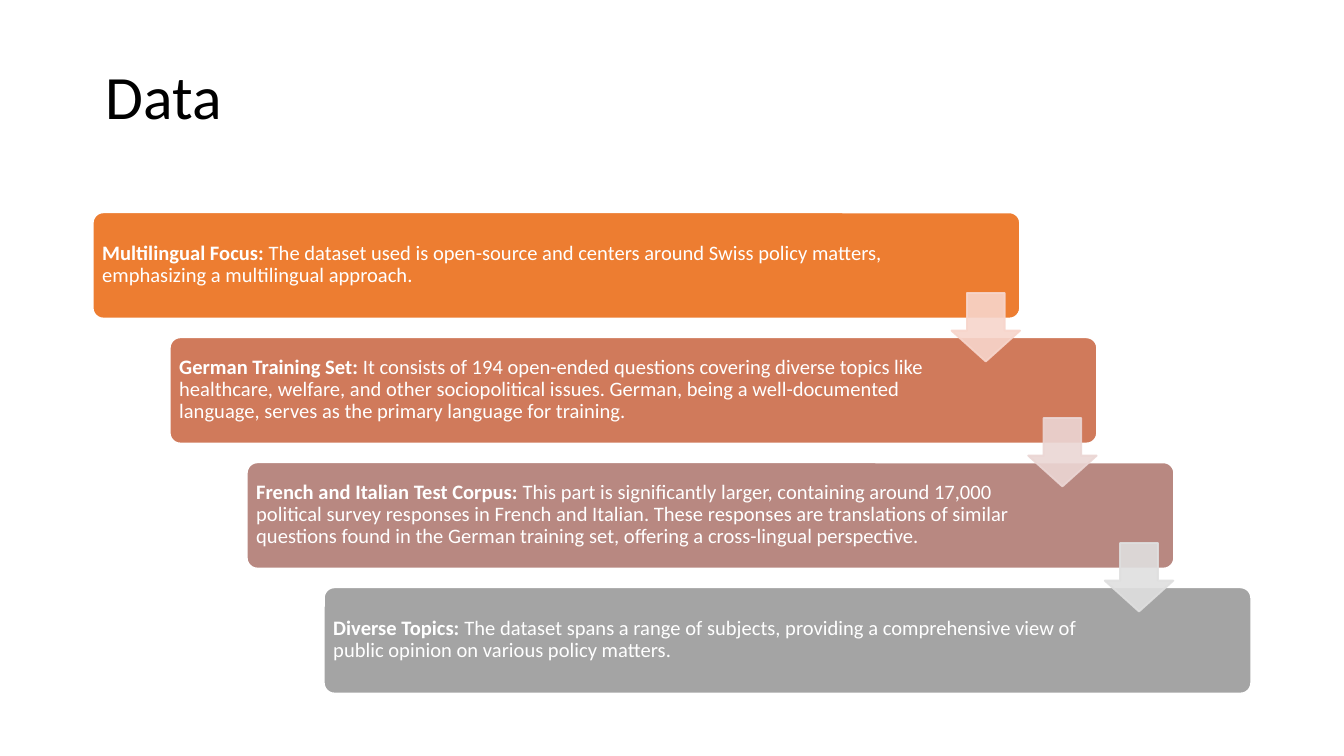
from pptx import Presentation
from pptx.util import Inches, Pt
from pptx.dml.color import RGBColor
from pptx.enum.shapes import MSO_SHAPE
from pptx.enum.text import MSO_ANCHOR
from pptx.oxml.ns import qn
from lxml import etree

COLORS = {
    "title": "000000",
    "white": "FFFFFF",
    "steps": ["ED7D31", "D07A5B", "B88881", "A4A4A4"],
    "arrows": ["F7D5CB", "EBD6D4", "DFDFDF"],
}

# Heading, body and text width of each step
STEPS = [
    ("Multilingual Focus: ",
     "The dataset used is open-source and centers around Swiss policy matters, "
     "emphasizing a multilingual approach.", 5.99),
    ("German Training Set: ",
     "It consists of 194 open-ended questions covering diverse topics like "
     "healthcare, welfare, and other sociopolitical issues. German, being a "
     "well-documented language, serves as the primary language for training.", 5.76),
    ("French and Italian Test Corpus: ",
     "This part is significantly larger, containing around 17,000 political survey "
     "responses in French and Italian. These responses are translations of similar "
     "questions found in the German training set, offering a cross-lingual "
     "perspective.", 5.77),
    ("Diverse Topics: ",
     "The dataset spans a range of subjects, providing a comprehensive view of "
     "public opinion on various policy matters.", 5.76),
]
LEFT, TOP = 0.69, 1.58
STEP_X, STEP_Y = 1.72 / 3, 0.93

# 16:9 slide
prs = Presentation()
prs.slide_width = Inches(10)
prs.slide_height = Inches(10 * 9 / 16)
s = prs.slides.add_slide(prs.slide_layouts[6])


def add_text(x, y, w, h, runs, size, color, anchor, inset):
    tf = s.shapes.add_textbox(Inches(x), Inches(y), Inches(w), Inches(h)).text_frame
    tf.word_wrap = True
    tf.vertical_anchor = anchor
    tf.margin_left = tf.margin_right = Inches(inset)
    tf.margin_top = tf.margin_bottom = Inches(0.05)
    p = tf.paragraphs[0]
    p.line_spacing = 0.9
    for text, bold in runs:
        r = p.add_run()
        r.text = text
        r.font.name = "Calibri"
        r.font.size = Pt(size)
        r.font.bold = bold
        r.font.color.rgb = RGBColor.from_string(color)


def add_block(kind, x, y, w, h, adjustments, fill, line):
    sp = s.shapes.add_shape(kind, Inches(x), Inches(y), Inches(w), Inches(h))
    sp.shadow.inherit = False
    for i, value in enumerate(adjustments):
        sp.adjustments[i] = value
    sp.fill.solid()
    sp.fill.fore_color.rgb = RGBColor.from_string(fill)
    sp.line.color.rgb = RGBColor.from_string(line)
    sp.line.width = Pt(1)
    return sp


# Title
add_text(LEFT, 0.21, 8.62, 0.83, [("Data", False)], 33, COLORS["title"],
         MSO_ANCHOR.BOTTOM, 0.1)

# Staircase of steps
for i, (heading, body, width) in enumerate(STEPS):
    x, y = LEFT + i * STEP_X, TOP + i * STEP_Y
    add_block(MSO_SHAPE.ROUNDED_RECTANGLE, x, y, 6.9, 0.79, [0.1],
              COLORS["steps"][i], COLORS["white"])
    add_text(x + 0.02, y + 0.02, width, 0.74, [(heading, True), (body, False)], 11,
             COLORS["white"], MSO_ANCHOR.MIDDLE, 0.05)

# Translucent arrows between the steps
for i, color in enumerate(COLORS["arrows"]):
    sp = add_block(MSO_SHAPE.DOWN_ARROW, 7.08 + i * 0.57, 2.18 + i * STEP_Y, 0.51, 0.51,
                   [0.55, 0.45], color, color)
    for clr in sp.element.spPr.iter(qn("a:srgbClr")):
        etree.SubElement(clr, qn("a:alpha")).set("val", "90000")

prs.save("out.pptx")
